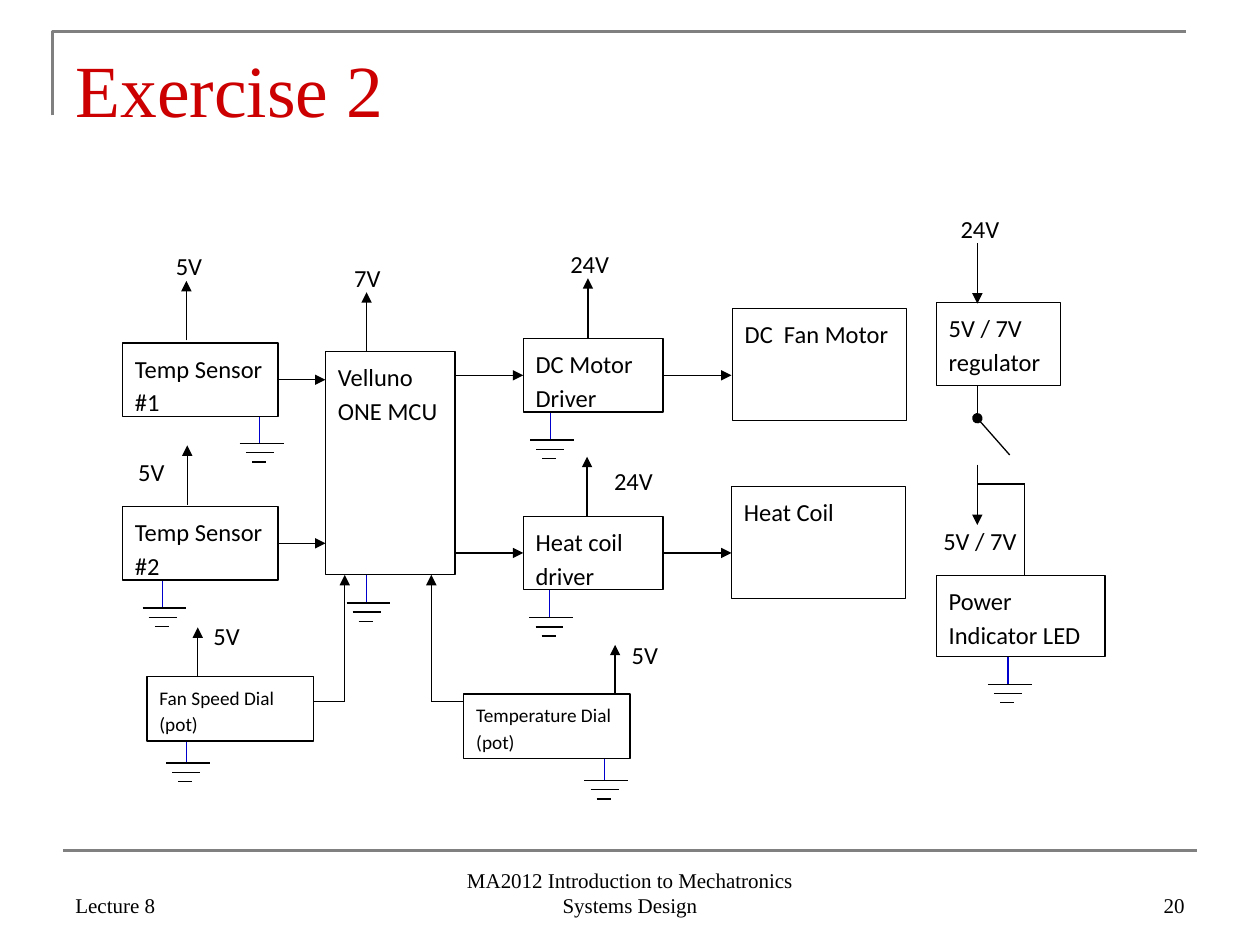
from lxml import etree
from pptx import Presentation
from pptx.dml.color import RGBColor
from pptx.enum import shapes as kinds, text as txt
from pptx.oxml.ns import qn
from pptx.util import Pt

HEX = {"ink": "000000", "paper": "FFFFFF", "rule": "808080",
       "title": "CC0000", "ground": "0000CC"}
SERIF, SANS = "Times New Roman", "Calibri"
TOP, LEFT, BOTTOM, RIGHT = 0, 1, 2, 3
ALIGN = txt.PP_ALIGN

# name: text, left, top, width, height, font size
BOXES = {
    "temp1": ("Temp Sensor #1", 70, 196, 89, 42, 14),
    "temp2": ("Temp Sensor #2", 70, 289.5, 89, 42, 14),
    "mcu": ("Velluno ONE MCU", 186, 201, 74, 127.5, 14),
    "motor": ("DC Motor Driver", 299, 193.5, 80, 42, 14),
    "fan": ("DC  Fan Motor", 418.5, 176.5, 99.5, 64, 14),
    "heat": ("Heat coil driver", 299, 295, 80, 42, 14),
    "coil": ("Heat Coil", 418, 278, 99.5, 64, 14),
    "reg": ("5V / 7V regulator", 535, 173, 71, 47.5, 14),
    "led": ("Power Indicator LED", 535, 329, 96.5, 46, 14),
    "temp dial": ("Temperature Dial (pot)", 265, 396.5, 95, 37, 11),
    "fan dial": ("Fan Speed Dial (pot)", 84, 386.5, 95, 37, 11),
}
# text, left, top
LABELS = [
    ("5V", 73.5, 137.5), ("5V", 52, 255), ("7V", 175.5, 144),
    ("24V", 302.5, 136), ("24V", 327.5, 260), ("24V", 525.5, 116),
    ("5V / 7V", 525.5, 294.5), ("5V", 95, 349), ("5V", 334, 359.5),
]
# x, start y, end y
SUPPLY = [
    (106.5, 194.5, 160.5), (107, 288.5, 254.5), (209.5, 201, 167),
    (336, 193, 159), (335.5, 295, 261), (113, 387, 358.5),
    (351.5, 397, 368.5), (558.5, 139, 173.5), (558.5, 265.5, 300),
]
# x and top of the stem
GROUNDS = [
    (148.5, 237.5), (93, 331.5), (209.5, 328.5), (314.5, 235.5),
    (314, 337), (576, 375), (106.5, 420), (345.5, 430),
]


def tint(name):
    return RGBColor.from_string(HEX[name])


def wire(slide, start, end, color="ink", width=0.75, head=None, tail=None):
    line = slide.shapes.add_connector(
        kinds.MSO_CONNECTOR.STRAIGHT, *map(Pt, (*start, *end)))
    line.line.color.rgb = tint(color)
    line.line.width = Pt(width)
    props = line.element.spPr
    for tag, kind in (("a:headEnd", head), ("a:tailEnd", tail)):
        if kind:
            etree.SubElement(props.find(qn("a:ln")), qn(tag), type=kind)
    etree.SubElement(props, qn("a:effectLst"))
    return line


def write(shape, words, size, font=SANS, color="ink", align=ALIGN.LEFT,
          anchor=txt.MSO_ANCHOR.TOP):
    frame = shape.text_frame
    frame.word_wrap = True
    frame.vertical_anchor = anchor
    para = frame.paragraphs[0]
    para.alignment = align
    if font == SANS:
        para.line_spacing = 1.15
        para.space_after = Pt(10)
    run = para.add_run()
    run.text = words
    run.font.size = Pt(size)
    run.font.name = font
    run.font.color.rgb = tint(color)


def box(slide, words, left, top, width, height, size):
    shape = slide.shapes.add_shape(
        kinds.MSO_SHAPE.RECTANGLE, *map(Pt, (left, top, width, height)))
    shape.shadow.inherit = False
    shape.fill.solid()
    shape.fill.fore_color.rgb = tint("paper")
    shape.line.color.rgb = tint("ink")
    shape.line.width = Pt(0.75)
    write(shape, words, size)
    return shape


def label(slide, words, left, top):
    shape = slide.shapes.add_textbox(*map(Pt, (left, top, 69, 23)))
    write(shape, words, 14, align=ALIGN.CENTER)


def ground(slide, x, top):
    """Draw an earth symbol: a stem over three shrinking bars."""
    wire(slide, (x, top), (x, top + 16), "ground")
    for row, (left, right) in enumerate([(-11.5, 13.5), (-8, 8), (-4.5, 3.5)]):
        y = top + 16 + 5.25 * row
        wire(slide, (x + left, y), (x + right, y))


def frame(slide):
    """Draw the title, the grey rules and the footer."""
    path = slide.shapes.build_freeform(Pt(30), Pt(66), scale=1.0)
    path.add_line_segments(
        [(Pt(30), Pt(18)), (Pt(678), Pt(18))], close=False)
    corner = path.convert_to_shape()
    corner.shadow.inherit = False
    corner.fill.background()
    corner.line.color.rgb = tint("rule")
    corner.line.width = Pt(1.5)
    wire(slide, (36, 486), (684, 486), "rule", 1.5)

    title = slide.shapes.title
    title.left, title.top, title.width, title.height = map(
        Pt, (36, 21.6, 648, 90))
    write(title, "Exercise 2", 42, SERIF, "title")

    for words, left, width, align in [
            ("Lecture 8", 36, 168, ALIGN.LEFT),
            ("MA2012 Introduction to Mechatronics Systems Design",
             246, 228, ALIGN.CENTER),
            ("20", 516, 168, ALIGN.RIGHT)]:
        foot = slide.shapes.add_textbox(*map(Pt, (left, 492, width, 36)))
        write(foot, words, 12, SERIF, align=align,
              anchor=txt.MSO_ANCHOR.BOTTOM)


def signals(slide, boxes):
    """Draw the arrows that run between the boxes."""
    for name, y in (("temp1", 217), ("temp2", 310.5)):
        line = wire(slide, (159, y), (186, y), tail="triangle")
        line.begin_connect(boxes[name], RIGHT)
    for name, y in (("motor", 214.5), ("heat", 316)):
        line = wire(slide, (260, y), (299, y), tail="triangle")
        line.end_connect(boxes[name], LEFT)
        line = wire(slide, (379, y), (418, y), tail="triangle")
        line.begin_connect(boxes[name], RIGHT)
    for edge, x in ((179, 197), (265, 246.5)):
        wire(slide, (edge, 401), (x, 401))
        wire(slide, (x, 401), (x, 328.5), tail="triangle")


def switch(slide):
    """Draw the switch under the regulator and the feed to the LED."""
    wire(slide, (558.5, 220.5), (558.5, 238.5))
    wire(slide, (558.5, 239), (577, 260), head="oval")
    wire(slide, (558.5, 276.5), (585.5, 276.5))
    wire(slide, (585.5, 276.5), (585.5, 329))


def main():
    deck = Presentation()
    deck.slide_width, deck.slide_height = Pt(720), Pt(540)
    slide = deck.slides.add_slide(deck.slide_layouts[5])
    frame(slide)
    for spot in GROUNDS:
        ground(slide, *spot)
    boxes = {name: box(slide, *data) for name, data in BOXES.items()}
    for x, start, end in SUPPLY:
        wire(slide, (x, start), (x, end), tail="triangle")
    signals(slide, boxes)
    switch(slide)
    for data in LABELS:
        label(slide, *data)
    deck.save("out.pptx")


if __name__ == "__main__":
    main()
